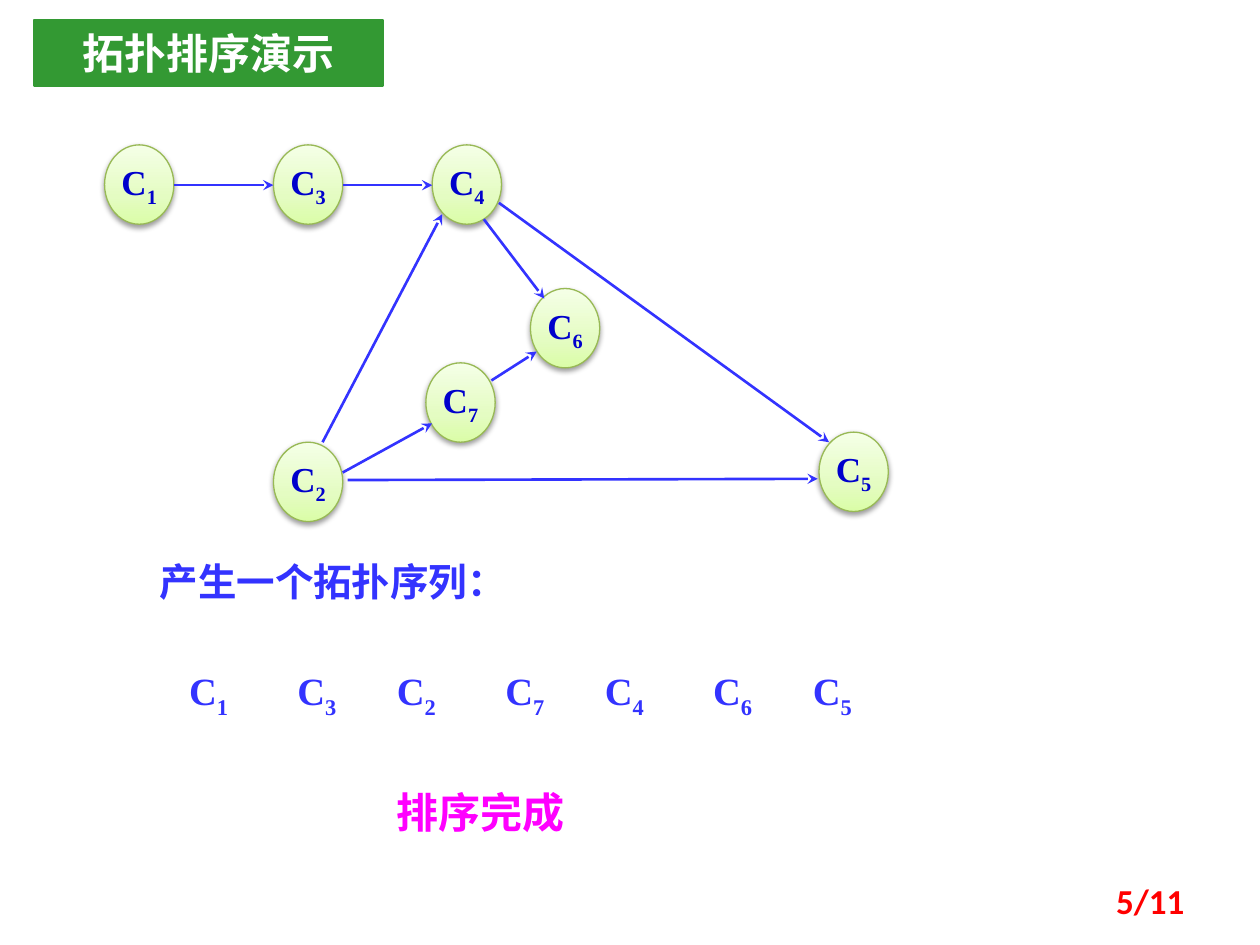
from copy import deepcopy
from typing import NamedTuple

from lxml.etree import SubElement
from pptx import Presentation
from pptx.dml.color import RGBColor
from pptx.enum.shapes import MSO_CONNECTOR, MSO_SHAPE
from pptx.enum.text import MSO_ANCHOR, MSO_AUTO_SIZE, PP_ALIGN
from pptx.oxml.ns import qn
from pptx.util import Inches, Pt

HUES = {
    "edge": "3333FF", "node": "0000CC", "rim": "98B955", "band": "339933",
    "white": "FFFFFF", "done": "FF00FF", "page": "FF0000", "black": "000000",
}
FADE = [(0, "DAFDA7"), (0.35, "E4FCC2"), (1, "F5FFE7")]
SERIF, HAN = "Times New Roman", "Noto Sans CJK SC"
NODE_W, NODE_H = 0.55, 0.63


class Node(NamedTuple):
    num: str
    x: float
    y: float


class Edge(NamedTuple):
    x1: float
    y1: float
    x2: float
    y2: float


class Label(NamedTuple):
    text: str
    box: tuple
    size: int
    hue: str
    face: str = SERIF
    align: PP_ALIGN = PP_ALIGN.CENTER


NODES = [
    Node("1", 0.83, 1.15), Node("3", 2.17, 1.15), Node("4", 3.43, 1.15),
    Node("2", 2.17, 3.51), Node("7", 3.38, 2.88), Node("6", 4.21, 2.29),
    Node("5", 6.5, 3.43),
]
EDGES = [
    Edge(1.38, 1.47, 2.17, 1.47), Edge(2.72, 1.47, 3.43, 1.47),
    Edge(2.56, 3.51, 3.51, 1.7), Edge(2.72, 3.75, 3.43, 3.36),
    Edge(3.9, 3.02, 4.26, 2.79), Edge(3.96, 1.61, 6.58, 3.51),
    Edge(2.76, 3.81, 6.49, 3.8), Edge(3.84, 1.74, 4.32, 2.37),
]
TITLE = Label("拓扑排序演示", (0.27, 0.16, 2.77, 0.52), 24, "white", HAN)
LABELS = [
    Label("产生一个拓扑序列：", (0.75, 4.38, 3.78, 0.47), 22, "edge"),
    Label("排序完成", (2.87, 6.19, 1.89, 0.5), 24, "done"),
    Label("5/11", (7.17, 6.95, 2.33, 0.4), 20, "page", "Calibri", PP_ALIGN.RIGHT),
]
ORDER = "1327465"


def color(name: str) -> RGBColor:
    return RGBColor.from_string(HUES[name])


def apply(target, values: dict) -> None:
    for key, value in values.items():
        setattr(target, key, value)


def add_run(para, text: str, size: int, hue: str, face: str = SERIF):
    run = para.add_run()
    run.text = text
    apply(run.font, {"size": Pt(size), "bold": True, "name": face})
    run.font.color.rgb = color(hue)
    SubElement(run.font._element, qn("a:ea"), typeface=HAN)
    return run


def add_vertex(para, num: str, size: int, hue: str) -> None:
    add_run(para, "C", size, hue)
    add_run(para, num, size, hue).font._element.set("baseline", "-25000")


def set_frame(shape, wrap: bool = True, align=PP_ALIGN.CENTER):
    frame = shape.text_frame
    apply(frame, {"auto_size": MSO_AUTO_SIZE.NONE, "word_wrap": wrap,
                  "vertical_anchor": MSO_ANCHOR.MIDDLE})
    frame.paragraphs[0].alignment = align
    return frame


def add_label(slide, label: Label) -> None:
    box = slide.shapes.add_textbox(*map(Inches, label.box))
    para = set_frame(box, align=label.align).paragraphs[0]
    add_run(para, label.text, label.size, label.hue, label.face)


def add_title(slide, label: Label) -> None:
    title = slide.shapes.title
    sides = ("left", "top", "width", "height")
    apply(title, dict(zip(sides, map(Inches, label.box))))
    title.fill.solid()
    title.fill.fore_color.rgb = color("band")
    title.line.color.rgb = color("band")
    title.line.width = Pt(1.5)
    para = set_frame(title).paragraphs[0]
    add_run(para, label.text, label.size, label.hue, label.face)


def add_node(slide, node: Node) -> None:
    oval = slide.shapes.add_shape(
        MSO_SHAPE.OVAL, *map(Inches, (node.x, node.y, NODE_W, NODE_H)))
    # Three-stop fade running upward
    oval.fill.gradient()
    oval.fill.gradient_angle = 90
    stops = oval._element.spPr.find(".//" + qn("a:gsLst"))
    stops.insert(1, deepcopy(stops[0]))
    for stop, (place, tint) in zip(oval.fill.gradient_stops, FADE):
        stop.position = place
        stop.color.rgb = RGBColor.from_string(tint)
    oval.line.color.rgb = color("rim")
    oval.line.width = Pt(0.75)
    # Soft shadow straight below
    oval.shadow.inherit = False
    effects = oval._element.spPr.find(qn("a:effectLst"))
    shade = SubElement(effects, qn("a:outerShdw"), blurRad=str(Pt(3.1)),
                       dist=str(Pt(1.6)), dir="5400000", rotWithShape="0")
    tone = SubElement(shade, qn("a:srgbClr"), val=HUES["black"])
    SubElement(tone, qn("a:alpha"), val="38000")
    add_vertex(set_frame(oval, wrap=False).paragraphs[0], node.num, 20, "node")


def add_edge(slide, edge: Edge) -> None:
    line = slide.shapes.add_connector(MSO_CONNECTOR.STRAIGHT, *map(Inches, edge))
    line.line.color.rgb = color("edge")
    line.line.width = Pt(1.5)
    SubElement(line.line._get_or_add_ln(), qn("a:tailEnd"), type="stealth")
    SubElement(line._element.spPr, qn("a:effectLst"))


def add_step(slide, index: int, num: str) -> None:
    pair, second = divmod(index, 2)
    left = 1.3 + 1.65 * pair + 0.86 * second
    box = slide.shapes.add_textbox(*map(Inches, (left, 5.32, 0.71, 0.37)))
    frame = set_frame(box)
    sides = ("margin_left", "margin_top", "margin_right", "margin_bottom")
    apply(frame, dict.fromkeys(sides, 0))
    add_vertex(frame.paragraphs[0], num, 22, "edge")


def main() -> None:
    deck = Presentation()
    apply(deck, {"slide_width": Inches(10), "slide_height": Inches(7.5)})
    slide = deck.slides.add_slide(deck.slide_layouts[5])
    add_title(slide, TITLE)
    # Graph
    for node in NODES:
        add_node(slide, node)
    for edge in EDGES:
        add_edge(slide, edge)
    # Resulting order and captions
    for index, num in enumerate(ORDER):
        add_step(slide, index, num)
    for label in LABELS:
        add_label(slide, label)
    deck.save("out.pptx")


if __name__ == "__main__":
    main()
